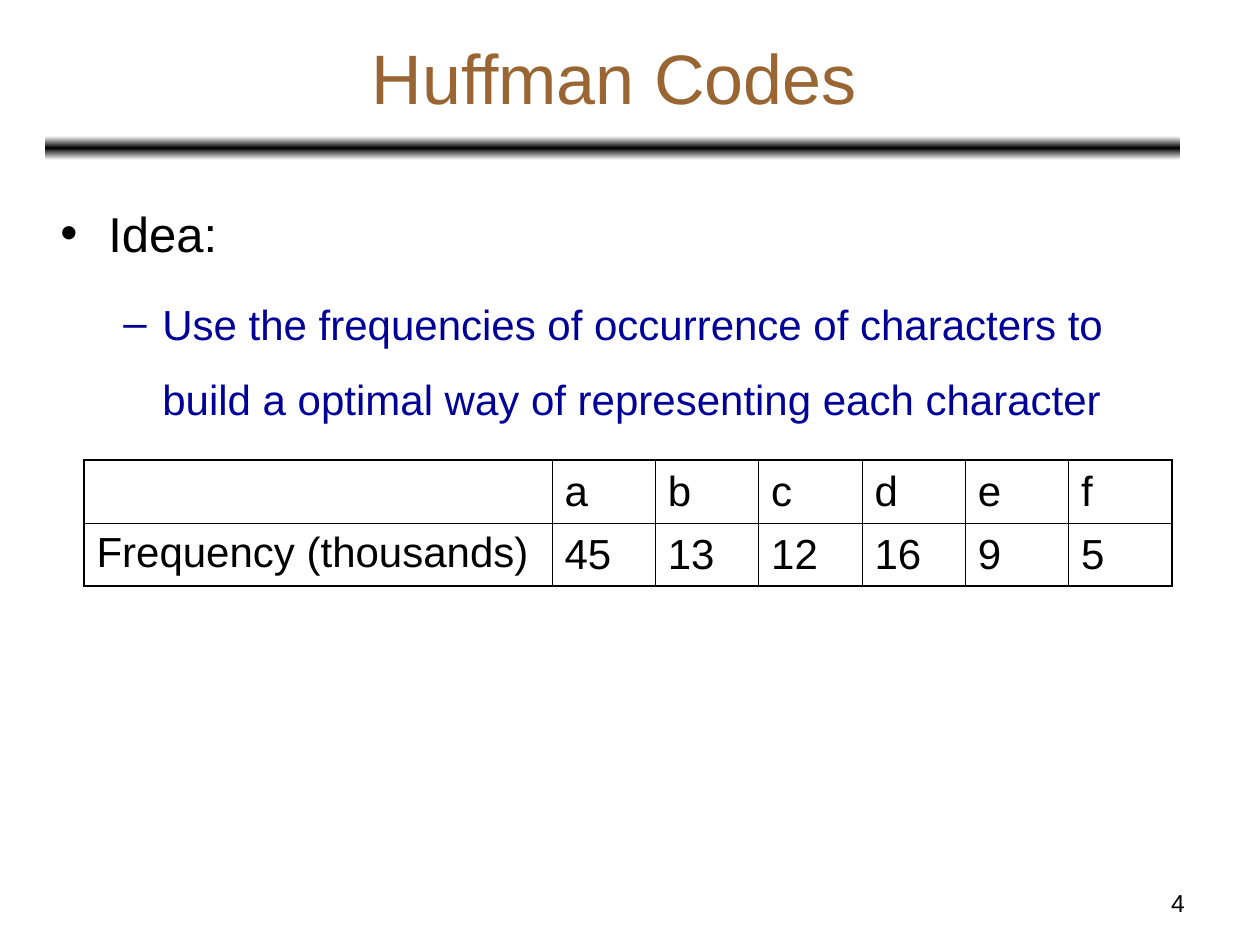
from lxml import etree
from pptx import Presentation
from pptx import util as u
from pptx.dml.color import RGBColor
from pptx.enum import shapes, text
from pptx.oxml import parse_xml
from pptx.oxml.ns import nsdecls, qn

# Content
TITLE = "Huffman Codes"
PAGE = "4"
BULLETS = [  # text, size, colour, bullet, left px, hanging px, space before pt
    ("Idea:", 28, "000000", "•", 48, 48, 0),
    ("Use the frequencies of occurrence of characters to build a optimal way "
     "of representing each character", 24, "000099", "–", 102, 39, 6),
]
TABLE = [
    ["", "a", "b", "c", "d", "e", "f"],
    ["Frequency (thousands)", "45", "13", "12", "16", "9", "5"],
]
LABEL_W, TABLE_W, ROW_H = 468, 1088, 63
THICK, THIN = 1.08, 0.45


def px(n):
    return u.Emu(round(n * 914400 / 126))


def rgb(color):
    return RGBColor.from_string(color)


def add_run(p, content, size, color):
    r = p.add_run()
    r.text = content
    r.font.name, r.font.size = "Arial", u.Pt(size)
    r.font.color.rgb = rgb(color)


def add_box(s, x, y, w, h, anchor=text.MSO_ANCHOR.TOP):
    tf = s.shapes.add_textbox(px(x), px(y), px(w), px(h)).text_frame
    tf.word_wrap = True
    tf.vertical_anchor = anchor
    return tf


def add_line(s, x, y, w, h, content, size, color, align, anchor):
    p = add_box(s, x, y, w, h, anchor).paragraphs[0]
    p.alignment = align
    add_run(p, content, size, color)


def set_bullet(p, char, color, left, hang):
    pPr = p._p.get_or_add_pPr()
    pPr.set("marL", str(px(left)))
    pPr.set("indent", str(-px(hang)))
    clr = etree.SubElement(pPr, qn("a:buClr"))
    etree.SubElement(clr, qn("a:srgbClr")).set("val", color)
    etree.SubElement(pPr, qn("a:buFont")).set("typeface", "Arial")
    etree.SubElement(pPr, qn("a:buChar")).set("char", char)


def set_border(cell, side, width):
    cell._tc.get_or_add_tcPr().append(parse_xml(
        f'<a:ln{side} {nsdecls("a")} w="{u.Pt(width)}"><a:solidFill>'
        f'<a:srgbClr val="000000"/></a:solidFill></a:ln{side}>'))


prs = Presentation()
prs.slide_width, prs.slide_height = px(1260), px(945)
s = prs.slides.add_slide(prs.slide_layouts[6])

# Rule below the title, fading up and down from black
sp = s.shapes.add_shape(shapes.MSO_SHAPE.ROUNDED_RECTANGLE,
                        px(45), px(136), px(1135), px(24))
sp.shadow.inherit = False
sp.line.fill.background()
sp.fill.gradient()
sp.fill.gradient_angle = 270
stops = sp._element.spPr.find(qn("a:gradFill")).find(qn("a:gsLst"))
for old in list(stops):
    stops.remove(old)
for pos, color in [(0, "FFFFFF"), (50, "000000"), (100, "FFFFFF")]:
    gs = etree.SubElement(stops, qn("a:gs"), pos=str(pos * 1000))
    etree.SubElement(gs, qn("a:srgbClr"), val=color)

# Page number and title
add_line(s, 903, 882, 294, 44, PAGE, 14, "000000",
         text.PP_ALIGN.RIGHT, text.MSO_ANCHOR.TOP)
add_line(s, 47, 14, 1134, 125, TITLE, 40, "996633",
         text.PP_ALIGN.CENTER, text.MSO_ANCHOR.MIDDLE)

# Bullets
tf = add_box(s, 48, 168, 1134, 699)
for i, (content, size, color, char, left, hang, before) in enumerate(BULLETS):
    p = tf.add_paragraph() if i else tf.paragraphs[0]
    set_bullet(p, char, color, left, hang)
    p.level = min(i, 1)
    p.line_spacing = 1.5
    p.space_before = u.Pt(before)
    add_run(p, content, size, color)

# Frequency table: thick outer frame, thin inner lines
rows, cols = len(TABLE), len(TABLE[0])
table = s.shapes.add_table(rows, cols, px(84), px(460),
                           px(TABLE_W), px(rows * ROW_H)).table
table.first_row = table.horz_banding = False
for j, col in enumerate(table.columns):
    col.width = px((TABLE_W - LABEL_W) / (cols - 1) if j else LABEL_W)
for i, values in enumerate(TABLE):
    table.rows[i].height = px(ROW_H)
    for j, value in enumerate(values):
        cell = table.cell(i, j)
        outer = {"L": j == 0, "R": j == cols - 1, "T": i == 0, "B": i == rows - 1}
        for side, is_outer in outer.items():
            set_border(cell, side, THICK if is_outer else THIN)
        cell.fill.background()
        cell.vertical_anchor = text.MSO_ANCHOR.MIDDLE if j else text.MSO_ANCHOR.TOP
        if value:
            add_run(cell.text_frame.paragraphs[0], value, 24, "000000")

prs.save("out.pptx")
